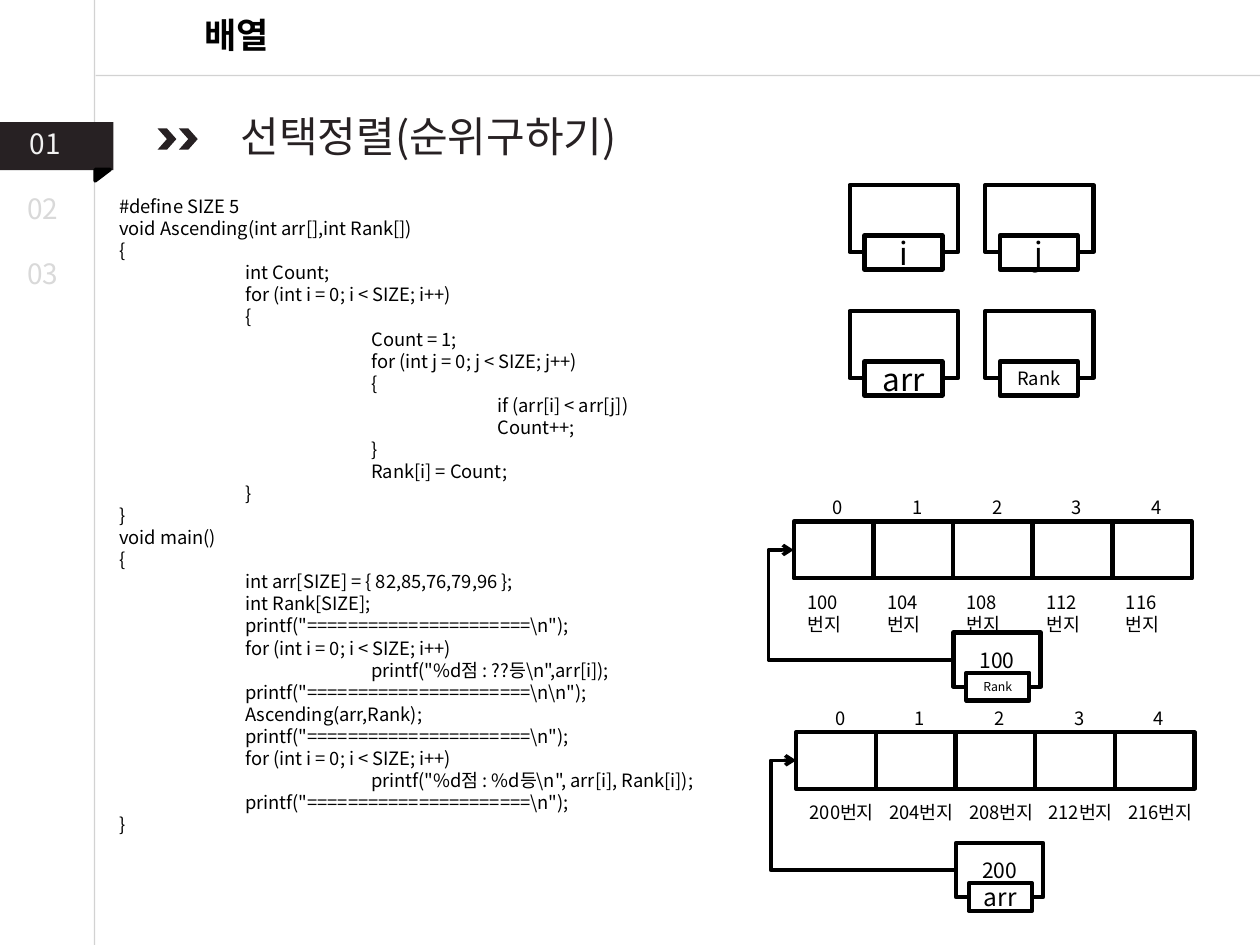
from lxml.etree import SubElement
from pptx import Presentation
from pptx.dml.color import RGBColor
from pptx.enum.shapes import MSO_CONNECTOR, MSO_SHAPE
from pptx.enum.text import MSO_ANCHOR, MSO_AUTO_SIZE, PP_ALIGN
from pptx.oxml.ns import qn
from pptx.util import Pt

FONT = "Noto Sans CJK KR"
COLORS = {"black": "000000", "white": "FFFFFF", "ink": "272123",
          "rule": "A6A6A6", "active": "F2F2F2", "muted": "D9D9D9"}

TITLE = "배열"
HEADING = " 선택정렬(순위구하기)"
SECTIONS = [("01", 10, 69, "active"), ("02", 8.6, 106, "muted"), ("03", 8.6, 143.3, "muted")]
CODE = r'''#define SIZE 5
void Ascending(int arr[],int Rank[])
{
>int Count;
>for (int i = 0; i < SIZE; i++)
>{
>>Count = 1;
>>for (int j = 0; j < SIZE; j++)
>>{
>>>if (arr[i] < arr[j])
>>>Count++;
>>}
>>Rank[i] = Count;
>}
}
void main()
{
>int arr[SIZE] = { 82,85,76,79,96 };
>int Rank[SIZE];
>printf("======================\n");
>for (int i = 0; i < SIZE; i++)
>>printf("%d점 : ??등\n",arr[i]);
>printf("======================\n\n");
>Ascending(arr,Rank);
>printf("======================\n");
>for (int i = 0; i < SIZE; i++)
>>printf("%d점 : %d등\n", arr[i], Rank[i]);
>printf("======================\n");
}'''
VARIABLES = [[("i", 18), ("j", 18)], [("arr", 18), ("Rank", 10.5)]]
ARRAYS = [
    {"name": "arr", "size": 14, "start": 200, "left": 455, "top": 418.3, "wrap": False},
    {"name": "Rank", "size": 7, "start": 100, "left": 453.6, "top": 298.1, "wrap": True},
]
CELL_COUNT, CELL_WIDTH, CELL_HEIGHT = 5, 45.5, 32.4

deck = Presentation()
deck.slide_width, deck.slide_height = Pt(720), Pt(540)
page = deck.slides.add_slide(deck.slide_layouts[5])


def color(name):
    return RGBColor.from_string(COLORS[name])


def write(shape, lines, size, fill="black", align=PP_ALIGN.LEFT, bold=False,
          anchor=MSO_ANCHOR.TOP, wrap=True):
    frame = shape.text_frame
    frame.text = "\n".join(lines)
    frame.word_wrap = wrap
    frame.auto_size = MSO_AUTO_SIZE.NONE
    frame.vertical_anchor = anchor
    for para in frame.paragraphs:
        para.alignment = align
        para.line_spacing = Pt(size * 1.2)
        depth = para.text.count("\t")
        if depth:
            tabs = SubElement(para._p.get_or_add_pPr(), qn("a:tabLst"))
            for stop in range(1, depth + 1):
                SubElement(tabs, qn("a:tab"), pos=str(Pt(72 * stop)), algn="l")
        para.font.name = FONT
        para.font.size = Pt(size)
        para.font.bold = bold
        para.font.color.rgb = color(fill)
        SubElement(para._p.pPr.find(qn("a:defRPr")), qn("a:ea"), typeface=FONT)


def add_text(left, top, width, height, lines, size, **style):
    box = page.shapes.add_textbox(Pt(left), Pt(top), Pt(width), Pt(height))
    write(box, lines, size, **style)


def add_block(kind, left, top, width, height, fill=None, line=None):
    shape = page.shapes.add_shape(kind, Pt(left), Pt(top), Pt(width), Pt(height))
    shape.shadow.inherit = False
    if fill:
        shape.fill.solid()
        shape.fill.fore_color.rgb = color(fill)
    else:
        shape.fill.background()
    if line:
        shape.line.color.rgb = color("black")
        shape.line.width = Pt(line)
    else:
        shape.line.fill.background()
    return shape


def add_box(left, top, width, height, text=None, size=12, fill=None):
    box = add_block(MSO_SHAPE.RECTANGLE, left, top, width, height, fill, 2.5)
    if text:
        write(box, [text], size, align=PP_ALIGN.CENTER, anchor=MSO_ANCHOR.MIDDLE)


def add_line(kind, start, end, stroke, width):
    line = page.shapes.add_connector(kind, *map(Pt, start + end))
    line.line.color.rgb = color(stroke)
    line.line.width = Pt(width)
    SubElement(line._element.spPr, qn("a:effectLst"))
    return line


def add_rule(start, end):
    rule = add_line(MSO_CONNECTOR.STRAIGHT, start, end, "rule", 0.75)
    hue = rule._element.spPr.find(".//" + qn("a:srgbClr"))
    SubElement(hue, qn("a:alpha"), val="50000")


def add_pointer(start, end):
    pointer = add_line(MSO_CONNECTOR.ELBOW, start, end, "black", 2)
    properties = pointer._element.spPr
    SubElement(properties.find(qn("a:ln")), qn("a:tailEnd"), type="arrow")
    guides = properties.find(qn("a:prstGeom")).find(qn("a:avLst"))
    SubElement(guides, qn("a:gd"), name="adj1", fmla="val 115900")


def add_array(name, size, start, left, top, wrap):
    cell_lefts = [left + CELL_WIDTH * index for index in range(CELL_COUNT)]
    for cell_left in cell_lefts:
        add_box(cell_left, top, CELL_WIDTH, CELL_HEIGHT)
    for index, cell_left in enumerate(cell_lefts):
        add_text(cell_left + 15.2, top - 18, 17.3, 16.6, [str(index)], 10.5, wrap=False)
        add_text(cell_left + 0.7, top + 36.2, 46 if wrap else 56, 16.6,
                 [f"{start + 4 * index}번지"], 10.5, wrap=wrap)
    add_box(left + 91.3, top + 63.4, 49.7, 31, str(start))
    add_pointer((left + 91.3, top + 79), (left, top + CELL_HEIGHT / 2))
    add_box(left + 98.6, top + 86.4, 36, 15.8, name, size, "white")


title = page.shapes.title
title.left, title.top, title.width, title.height = map(Pt, (58.3, 4.3, 154, 31.7))
write(title, [TITLE], 20, align=PP_ALIGN.CENTER, bold=True)

add_rule((54, 0), (54, 540))
add_rule((720, 43.2), (54.7, 43.2))
add_block(MSO_SHAPE.RECTANGLE, -0.7, 69.8, 65.5, 27.4, "ink")
fold = add_block(MSO_SHAPE.RIGHT_TRIANGLE, 55.4, 95.8, 6.5, 8.6, "black", 2)
fold.rotation = 90
for number, left, top, shade in SECTIONS:
    add_text(left, top, 42, 26.6, [number], 16, fill=shade)
for left in (102.2, 90):
    add_block(MSO_SHAPE.CHEVRON, left, 73.4, 10.8, 12.2, "ink")
add_text(113, 59.8, 258.5, 36, [HEADING], 24, fill="ink", align=PP_ALIGN.CENTER)
add_text(61.2, 108, 653, 376.6, CODE.replace(">", "\t").split("\n"), 10.5)

for row, variables in enumerate(VARIABLES):
    for column, (name, size) in enumerate(variables):
        left, top = 485.6 + 77.4 * column, 105.8 + 72 * row
        add_box(left, top, 61.9, 38.2)
        add_box(left + 8.3, top + 28.8, 44.6, 19.4, name, size, "white")

for array in ARRAYS:
    add_array(**array)

deck.save("out.pptx")
